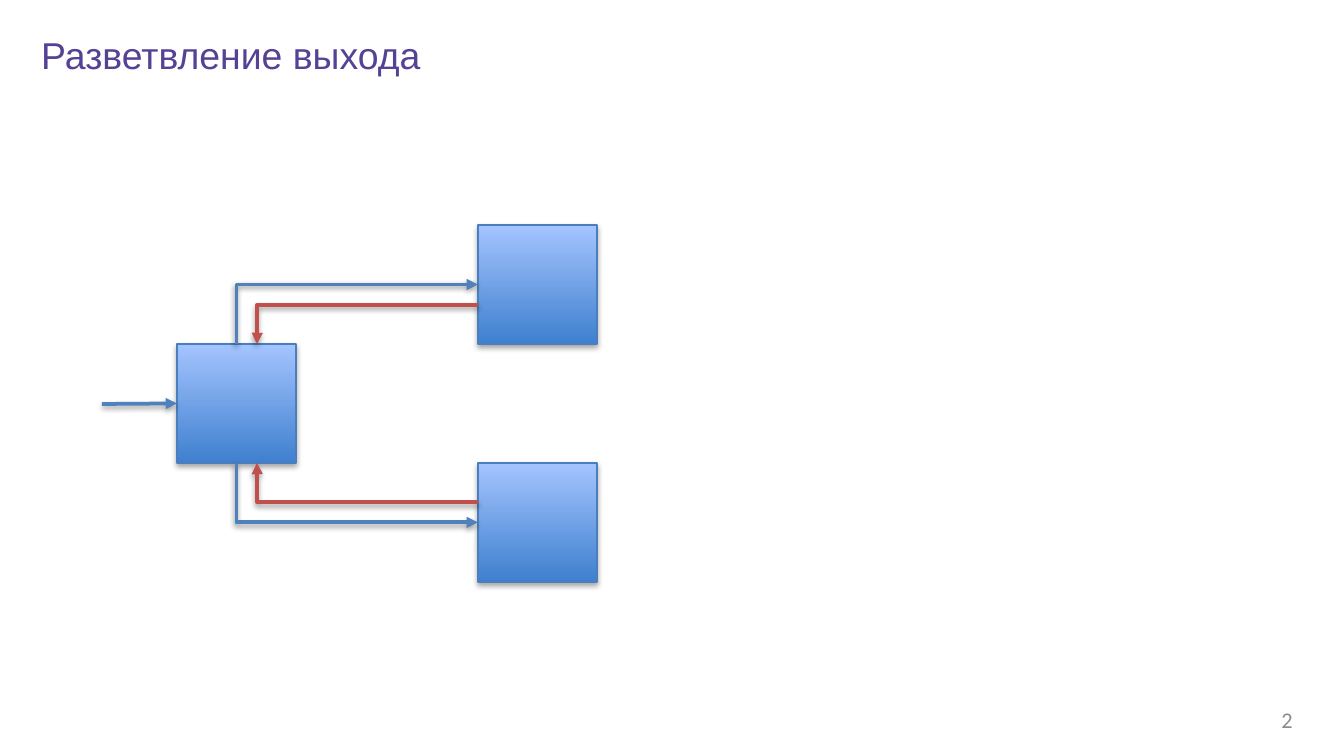
from dataclasses import dataclass

import pptx
import pptx.dml.color
import pptx.enum.shapes
import pptx.enum.text
import pptx.oxml
import pptx.oxml.ns
import pptx.util

PX = 914400 / 134.4  # EMU in one px
BOX = 119            # side of a block
ELBOW = pptx.enum.shapes.MSO_CONNECTOR.ELBOW
STRAIGHT = pptx.enum.shapes.MSO_CONNECTOR.STRAIGHT
TOP, LEFT, BOTTOM = 0, 1, 2  # connection sites


@dataclass(frozen=True)
class Theme:
    title: str = "554294"
    number: str = "8C8C8C"
    box_bottom: str = "3F80CE"
    box_top: str = "A4C4FF"
    box_line: str = "4B7EBC"
    forward: str = "4F81BD"
    backward: str = "C0504D"
    title_font: str = "Arial"
    number_font: str = "Calibri"
    title_size: int = 20
    number_size: int = 12
    box_width: float = 0.75
    arrow_width: float = 2


THEME = Theme()


def px(n):
    return pptx.util.Emu(round(n * PX))


def rgb(color):
    return pptx.dml.color.RGBColor.from_string(color)


def add_shadow(shape, opacity, distance):
    """Give a shape or connector a soft shadow that falls straight down."""
    spPr = shape._element.spPr
    for old in spPr.findall(pptx.oxml.ns.qn("a:effectLst")):
        spPr.remove(old)
    spPr.append(pptx.oxml.parse_xml(
        f'<a:effectLst {pptx.oxml.ns.nsdecls("a")}>'
        f'<a:outerShdw blurRad="{pptx.util.Pt(3.1)}" dist="{pptx.util.Pt(distance)}"'
        ' dir="5400000" rotWithShape="0">'
        f'<a:srgbClr val="000000"><a:alpha val="{opacity * 1000}"/></a:srgbClr>'
        '</a:outerShdw></a:effectLst>'))


def add_text(slide, box, text, font, size, color, align, anchor):
    tf = slide.shapes.add_textbox(*map(px, box)).text_frame
    tf.word_wrap = True
    tf.vertical_anchor = anchor
    p = tf.paragraphs[0]
    p.alignment = align
    r = p.add_run()
    r.text = text
    r.font.name = font
    r.font.size = pptx.util.Pt(size)
    r.font.color.rgb = rgb(color)


def add_block(slide, x, y):
    sp = slide.shapes.add_shape(
        pptx.enum.shapes.MSO_SHAPE.RECTANGLE, px(x), px(y), px(BOX), px(BOX))
    sp.fill.gradient()
    sp.fill.gradient_angle = 90
    colors = (THEME.box_bottom, THEME.box_top)
    for position, (stop, color) in enumerate(zip(sp.fill.gradient_stops, colors)):
        stop.position = position
        stop.color.rgb = rgb(color)
    sp.line.color.rgb = rgb(THEME.box_line)
    sp.line.width = pptx.util.Pt(THEME.box_width)
    add_shadow(sp, 35, 1.8)
    return sp


def add_arrow(slide, kind, start, end, color, arrowhead="tailEnd"):
    cxn = slide.shapes.add_connector(kind, *map(px, (*start, *end)))
    cxn.line.color.rgb = rgb(color)
    cxn.line.width = pptx.util.Pt(THEME.arrow_width)
    ln = cxn.line._get_or_add_ln()
    ln.append(pptx.oxml.parse_xml(
        f'<a:{arrowhead} {pptx.oxml.ns.nsdecls("a")} type="triangle"/>'))
    add_shadow(cxn, 38, 1.6)
    return cxn


def add_branch(slide, source, target, site, y_source, y_target):
    """Forward arrow with one corner, drawn from the target back to the source."""
    cxn = add_arrow(slide, ELBOW, (478, y_target), (236, y_source),
                    THEME.forward, "headEnd")
    cxn._element.spPr.prstGeom.set("prst", "bentConnector2")
    cxn.begin_connect(target, LEFT)
    cxn.end_connect(source, site)


def add_feedback(slide, y_source, y_target):
    """Backward arrow whose bend lies at its far end."""
    cxn = add_arrow(slide, ELBOW, (478, y_target), (257, y_source), THEME.backward)
    guides = cxn._element.spPr.prstGeom.get_or_add_avLst()
    guides.append(pptx.oxml.parse_xml(
        f'<a:gd {pptx.oxml.ns.nsdecls("a")} name="adj1" fmla="val 99900"/>'))


def main():
    prs = pptx.Presentation()
    prs.slide_width, prs.slide_height = px(1344), px(756)
    slide = prs.slides.add_slide(prs.slide_layouts[6])
    align, anchor = pptx.enum.text.PP_ALIGN, pptx.enum.text.MSO_ANCHOR

    # Title and slide number
    add_text(slide, (28, 26, 938, 59), "Разветвление выхода", THEME.title_font,
             THEME.title_size, THEME.title, align.LEFT, anchor.TOP)
    add_text(slide, (993, 700, 313, 40), "2", THEME.number_font,
             THEME.number_size, THEME.number, align.RIGHT, anchor.MIDDLE)

    # Blocks: the source sits halfway between its two receivers
    top = 344
    bottom = top + BOX
    source = add_block(slide, 177, top)
    upper = add_block(slide, 478, top - BOX)
    lower = add_block(slide, 478, bottom)

    # Forward branches, feedback and input
    add_branch(slide, source, upper, TOP, top, 285)
    add_branch(slide, source, lower, BOTTOM, bottom, 522)
    add_feedback(slide, top, 305)
    add_feedback(slide, bottom, 502)
    entry = add_arrow(slide, STRAIGHT, (102, 404), (177, 404), THEME.forward)
    entry.end_connect(source, LEFT)

    prs.save("out.pptx")


if __name__ == "__main__":
    main()
